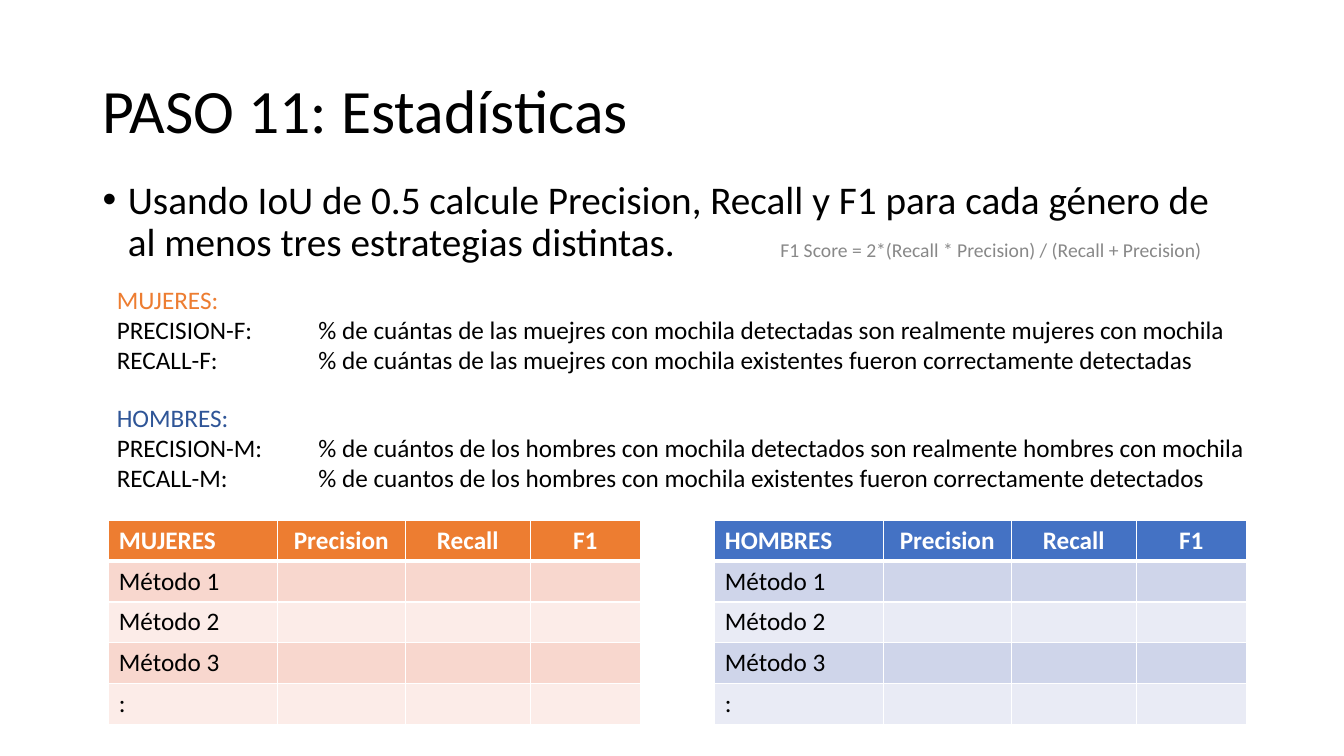
from lxml.etree import SubElement
from pptx import Presentation
from pptx.dml.color import RGBColor
from pptx.enum.text import MSO_ANCHOR, PP_ALIGN
from pptx.oxml.ns import qn
from pptx.util import Inches, Pt

BLACK = RGBColor(0x00, 0x00, 0x00)
WHITE = RGBColor(0xFF, 0xFF, 0xFF)
GRAY = RGBColor(0x88, 0x88, 0x88)
ORANGE = RGBColor(0xED, 0x7D, 0x31)
BLUE = RGBColor(0x44, 0x72, 0xC4)
DARK_BLUE = RGBColor(0x2F, 0x55, 0x97)
ORANGE_BANDS = (RGBColor(0xF8, 0xD7, 0xCE), RGBColor(0xFC, 0xEC, 0xE8))
BLUE_BANDS = (RGBColor(0xCF, 0xD5, 0xEA), RGBColor(0xE9, 0xEB, 0xF5))

COLUMN_WIDTHS = (1.67, 1.27, 1.24, 1.09)
METRICS = ("Precision", "Recall", "F1")
METHODS = ("Método 1", "Método 2", "Método 3", ":")

WOMEN_LINES = (
    "PRECISION-F:\t% de cuántas de las muejres con mochila detectadas son realmente mujeres con mochila",
    "RECALL-F:\t% de cuántas de las muejres con mochila existentes fueron correctamente detectadas",
)
MEN_LINES = (
    "PRECISION-M:\t% de cuántos de los hombres con mochila detectados son realmente hombres con mochila",
    "RECALL-M:\t% de cuantos de los hombres con mochila existentes fueron correctamente detectados",
)


def write(paragraph, text, size, color=BLACK, bold=False):
    """Add a formatted run to a paragraph."""
    run = paragraph.add_run()
    run.text = text
    formats = {"name": "Calibri", "size": Pt(size), "bold": bold}
    for name, value in formats.items():
        setattr(run.font, name, value)
    run.font.color.rgb = color


def add_frame(slide, box, **formats):
    """Add a text box and return its text frame."""
    frame = slide.shapes.add_textbox(*map(Inches, box)).text_frame
    for name, value in {"word_wrap": True, **formats}.items():
        setattr(frame, name, value)
    return frame


def add_title(slide, box):
    """Place the slide title."""
    frame = add_frame(slide, box, vertical_anchor=MSO_ANCHOR.MIDDLE)
    paragraph = frame.paragraphs[0]
    paragraph.line_spacing = 0.9
    write(paragraph, "PASO 11: Estadísticas", 44)


def add_task(slide, box):
    """Place the bulleted task with the F1 formula at the end of its second line."""
    paragraph = add_frame(slide, box).paragraphs[0]
    paragraph.line_spacing = 0.9
    properties = paragraph._p.get_or_add_pPr()
    properties.set("marL", str(Inches(0.25)))
    properties.set("indent", str(-Inches(0.25)))
    SubElement(properties, qn("a:buFont")).set("typeface", "Arial")
    SubElement(properties, qn("a:buChar")).set("char", "•")
    write(paragraph, "Usando IoU de 0.5 calcule Precision, Recall y F1 para cada género de "
                     "al menos tres estrategias distintas.", 28)

    left, top, _, _ = box
    formula = add_frame(slide, (left + 6.82, top + 0.62, 4.4, 0.24),
                        margin_left=0, margin_top=0, margin_right=0, margin_bottom=0)
    write(formula.paragraphs[0], "F1 Score = 2*(Recall * Precision) / (Recall + Precision)", 14, GRAY)


def add_definitions(slide, box, heading, color, lines):
    """Place a coloured heading over its metric definitions."""
    frame = add_frame(slide, box, word_wrap=False)
    write(frame.paragraphs[0], heading, 18, color)
    for line in lines:
        paragraph = frame.add_paragraph()
        tabs = SubElement(paragraph._p.get_or_add_pPr(), qn("a:tabLst"))
        tab = SubElement(tabs, qn("a:tab"))
        tab.set("pos", str(Inches(2)))
        tab.set("algn", "l")
        label, explanation = line.split("\t")
        write(paragraph, f"{label}\t{explanation}", 18)


def set_borders(cell, top, bottom):
    """Draw white borders around a cell."""
    properties = cell._tc.get_or_add_tcPr()
    for side, width in {"L": 1, "R": 1, "T": top, "B": bottom}.items():
        line = SubElement(properties, qn(f"a:ln{side}"))
        line.set("w", str(Pt(width)))
        fill = SubElement(line, qn("a:solidFill"))
        SubElement(fill, qn("a:srgbClr")).set("val", str(WHITE))


def add_results(slide, box, heading, header_color, bands):
    """Place a banded results table."""
    rows = [(heading, *METRICS)] + [(method, "", "", "") for method in METHODS]
    table = slide.shapes.add_table(len(rows), len(COLUMN_WIDTHS), *map(Inches, box)).table
    for column, width in zip(table.columns, COLUMN_WIDTHS):
        column.width = Inches(width)
    for row_index, texts in enumerate(rows):
        is_header = row_index == 0
        for column_index, text in enumerate(texts):
            cell = table.cell(row_index, column_index)
            set_borders(cell, 3 if row_index == 1 else 1, 3 if is_header else 1)
            cell.fill.solid()
            cell.fill.fore_color.rgb = header_color if is_header else bands[(row_index - 1) % 2]
            paragraph = cell.text_frame.paragraphs[0]
            paragraph.font.size = Pt(18)
            if column_index:
                paragraph.alignment = PP_ALIGN.CENTER
            if text:
                write(paragraph, text, 18, WHITE if is_header else BLACK, is_header)


def main():
    """Build and save the slide."""
    presentation = Presentation()
    presentation.slide_width = Inches(13.33)
    presentation.slide_height = Inches(7.5)
    slide = presentation.slides.add_slide(presentation.slide_layouts[6])
    add_title(slide, (0.92, 0.4, 11.5, 1.45))
    add_task(slide, (0.92, 1.74, 11.5, 1.22))
    add_definitions(slide, (1.06, 2.77, 11.31, 1.01), "MUJERES:", ORANGE, WOMEN_LINES)
    add_definitions(slide, (1.06, 3.94, 11.51, 1.01), "HOMBRES:", DARK_BLUE, MEN_LINES)
    add_results(slide, (1.08, 5.16, 5.27, 2.03), "MUJERES", ORANGE, ORANGE_BANDS)
    add_results(slide, (7.09, 5.16, 5.27, 2.03), "HOMBRES", BLUE, BLUE_BANDS)
    presentation.save("out.pptx")


if __name__ == "__main__":
    main()
